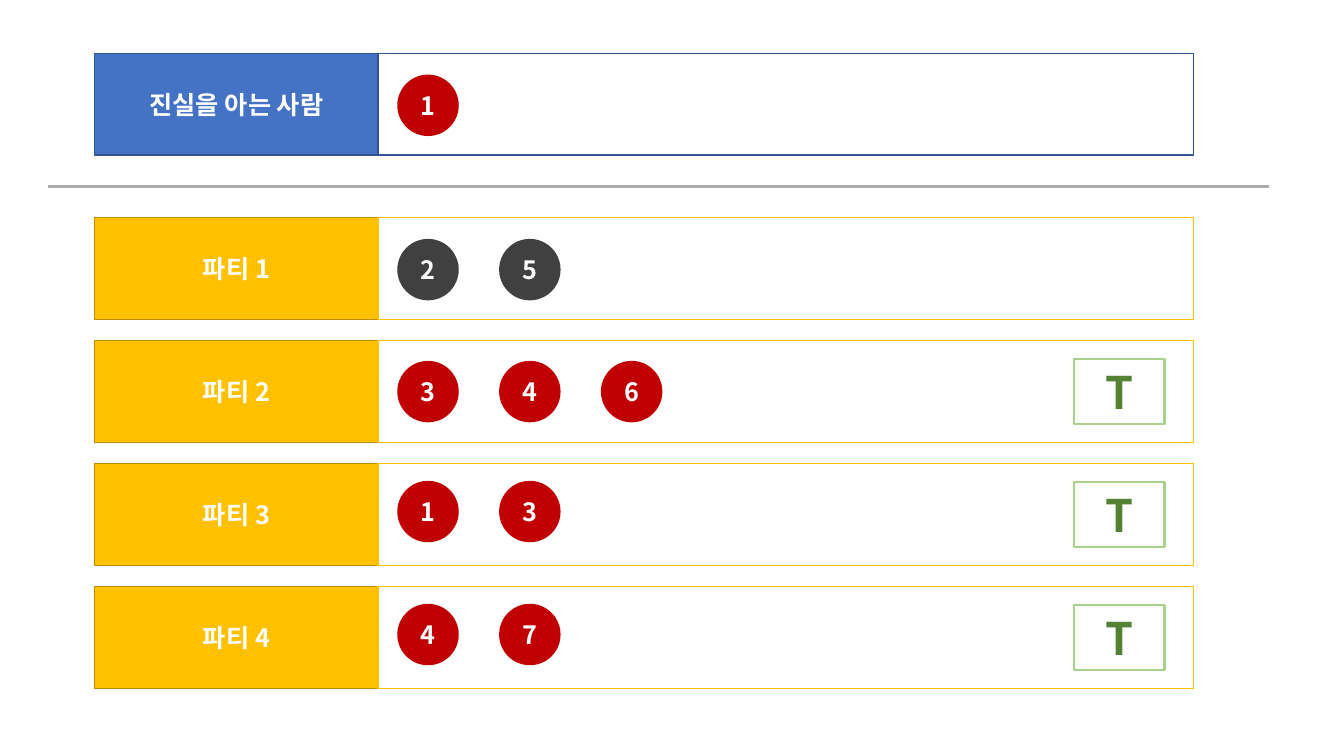
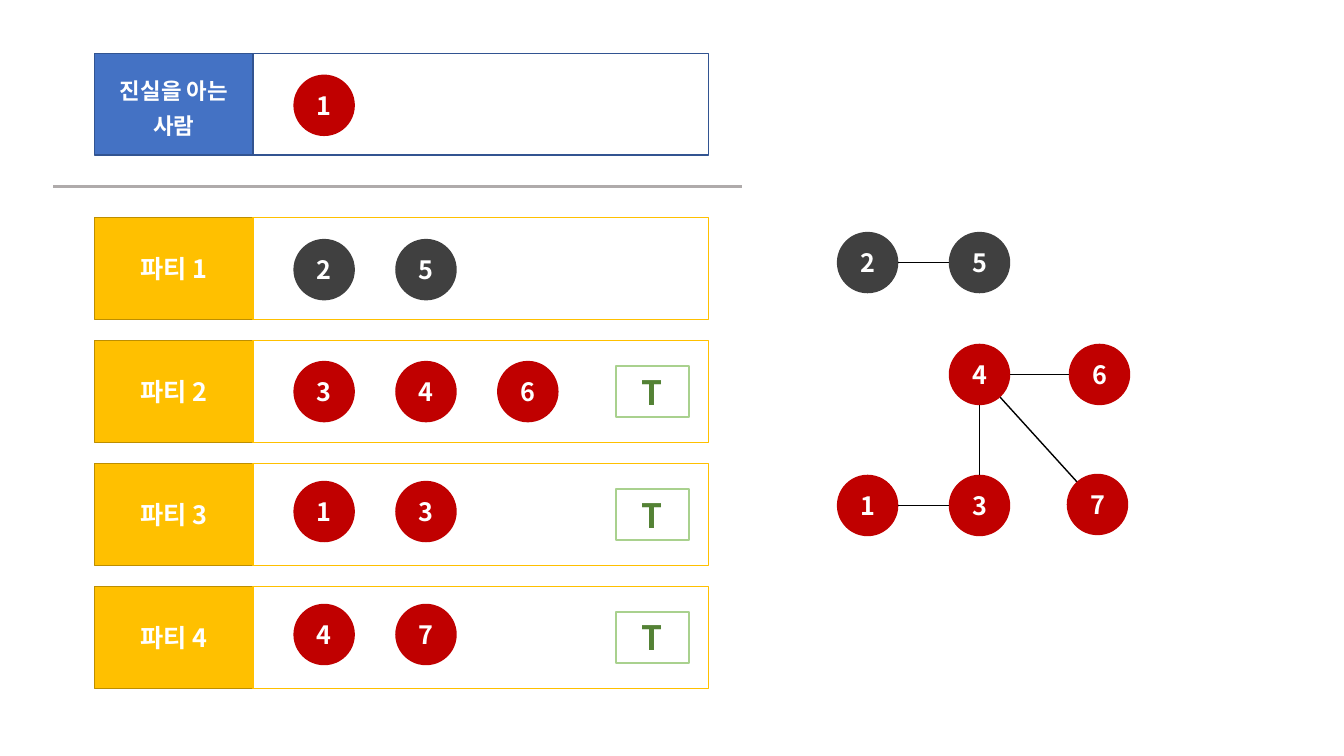
import math
from dataclasses import dataclass

from lxml import etree
from pptx import Presentation
from pptx.dml.color import RGBColor
from pptx.enum import shapes, text
from pptx.oxml import ns
from pptx.util import Inches, Pt

FONT = "Noto Sans CJK KR"
WHITE = RGBColor(0xFF, 0xFF, 0xFF)
BLACK = RGBColor(0x00, 0x00, 0x00)
BLUE = RGBColor(0x44, 0x72, 0xC4)
NAVY = RGBColor(0x32, 0x54, 0x91)
AMBER = RGBColor(0xFF, 0xC0, 0x00)
DARK_AMBER = RGBColor(0xBD, 0x8E, 0x00)
RED = RGBColor(0xC0, 0x00, 0x00)
CHARCOAL = RGBColor(0x40, 0x40, 0x40)
GRAY = RGBColor(0xAF, 0xAB, 0xAB)
LIGHT_GREEN = RGBColor(0xA9, 0xD1, 0x8E)
GREEN = RGBColor(0x54, 0x82, 0x35)

RECTANGLE = shapes.MSO_SHAPE.RECTANGLE
OVAL = shapes.MSO_SHAPE.OVAL

ROW_LEFT, ROW_HEIGHT = 0.94, 1.01
KNOWERS_TOP, DIVIDER_TOP = 0.53, 1.85
PARTY_TOP, PARTY_PITCH = 2.16, 1.22
PERSON_SIZE, PERSON_PITCH = 0.61, 1.01

UNAWARE = {2, 5}
# People at each party, and how far below the row top their circles start
PARTIES = [([2, 5], 0.21), ([3, 4, 6], 0.2), ([1, 3], 0.17), ([4, 7], 0.17)]

GRAPH_NODES = {
    2: (8.3, 2.3), 5: (9.41, 2.3),
    4: (9.41, 3.41), 6: (10.6, 3.41),
    1: (8.3, 4.71), 3: (9.41, 4.71), 7: (10.58, 4.7),
}
GRAPH_EDGES = [(2, 5), (3, 4), (6, 4), (3, 1), (7, 4)]


@dataclass
class Board:
    """Sizes that differ between the wide and the narrow list of parties."""
    label_width: float
    panel_width: float
    people_left: float
    divider: tuple
    badge_size: tuple
    badge_right: float
    badge_points: int
    knowers_points: int
    knowers_spacing: float

    @property
    def panel_left(self):
        return ROW_LEFT + self.label_width


WIDE = Board(2.81, 8.09, 3.94, (0.48, 12.59), (0.9, 0.64), 11.55, 32, 18, 1.0)
NARROW = Board(1.57, 4.52, 2.91, (0.53, 7.36), (0.72, 0.5), 6.83, 24, 16, 1.3)


def add_box(slide, kind, left, top, width, height, fill=None, line=None, points=1):
    shape = slide.shapes.add_shape(
        kind, Inches(left), Inches(top), Inches(width), Inches(height))
    shape.shadow.inherit = False
    if fill is None:
        shape.fill.background()
    else:
        shape.fill.solid()
        shape.fill.fore_color.rgb = fill
    if line is None:
        shape.line.fill.background()
    else:
        shape.line.color.rgb = line
        shape.line.width = Pt(points)
    return shape


def write(shape, words, size=18, color=WHITE, spacing=1.0):
    frame = shape.text_frame
    frame.word_wrap = True
    frame.vertical_anchor = text.MSO_ANCHOR.MIDDLE
    paragraph = frame.paragraphs[0]
    paragraph.alignment = text.PP_ALIGN.CENTER
    paragraph.line_spacing = spacing
    run = paragraph.add_run()
    run.text = words
    run.font.size = Pt(size)
    run.font.bold = True
    run.font.name = FONT
    run.font.color.rgb = color
    east_asian = etree.SubElement(run.font._element, ns.qn("a:ea"))
    east_asian.set("typeface", FONT)


def add_line(slide, start, end, color, points):
    line = slide.shapes.add_connector(
        shapes.MSO_CONNECTOR.STRAIGHT, *map(Inches, (*start, *end)))
    line.line.color.rgb = color
    line.line.width = Pt(points)
    etree.SubElement(line._element.spPr, ns.qn("a:effectLst"))


def add_row(slide, board, top, label, fill, label_line, panel_line,
            size=18, spacing=1.0):
    label_box = add_box(slide, RECTANGLE, ROW_LEFT, top, board.label_width,
                        ROW_HEIGHT, fill, label_line)
    write(label_box, label, size, spacing=spacing)
    add_box(slide, RECTANGLE, board.panel_left, top, board.panel_width,
            ROW_HEIGHT, WHITE, panel_line)


def add_person(slide, number, left, top):
    color = CHARCOAL if number in UNAWARE else RED
    circle = add_box(slide, OVAL, left, top, PERSON_SIZE, PERSON_SIZE, color)
    write(circle, str(number))


def add_truth_badge(slide, board, row_top):
    width, height = board.badge_size
    badge = add_box(slide, RECTANGLE, board.badge_right - width,
                    row_top + (ROW_HEIGHT - height) / 2, width, height,
                    line=LIGHT_GREEN, points=1.5)
    write(badge, "T", board.badge_points, GREEN)


def add_board(slide, board):
    add_row(slide, board, KNOWERS_TOP, "진실을 아는 사람", BLUE, NAVY, NAVY,
            board.knowers_points, board.knowers_spacing)
    add_person(slide, 1, board.people_left, KNOWERS_TOP + 0.21)
    start, end = board.divider
    add_line(slide, (start, DIVIDER_TOP), (end, DIVIDER_TOP), GRAY, 1.5)

    for index, (people, offset) in enumerate(PARTIES):
        top = PARTY_TOP + index * PARTY_PITCH
        add_row(slide, board, top, f"파티 {index + 1}", AMBER, DARK_AMBER, AMBER)
        for column, number in enumerate(people):
            add_person(slide, number, board.people_left + column * PERSON_PITCH,
                       top + offset)
        if not UNAWARE.issuperset(people):
            add_truth_badge(slide, board, top)


def add_edge(slide, first, second):
    """Join the rims of two circles along the line between their centres."""
    radius = PERSON_SIZE / 2
    (x1, y1), (x2, y2) = [
        (left + radius, top + radius)
        for left, top in (GRAPH_NODES[first], GRAPH_NODES[second])]
    distance = math.hypot(x2 - x1, y2 - y1)
    dx, dy = (x2 - x1) * radius / distance, (y2 - y1) * radius / distance
    add_line(slide, (x1 + dx, y1 + dy), (x2 - dx, y2 - dy), BLACK, 1)


def add_graph(slide):
    for number, (left, top) in GRAPH_NODES.items():
        add_person(slide, number, left, top)
    for first, second in GRAPH_EDGES:
        add_edge(slide, first, second)


def main():
    presentation = Presentation()
    presentation.slide_width = Inches(13.33)
    presentation.slide_height = Inches(7.5)
    blank = presentation.slide_layouts[6]

    add_board(presentation.slides.add_slide(blank), WIDE)

    graph_slide = presentation.slides.add_slide(blank)
    add_board(graph_slide, NARROW)
    add_graph(graph_slide)

    presentation.save("out.pptx")


if __name__ == "__main__":
    main()
